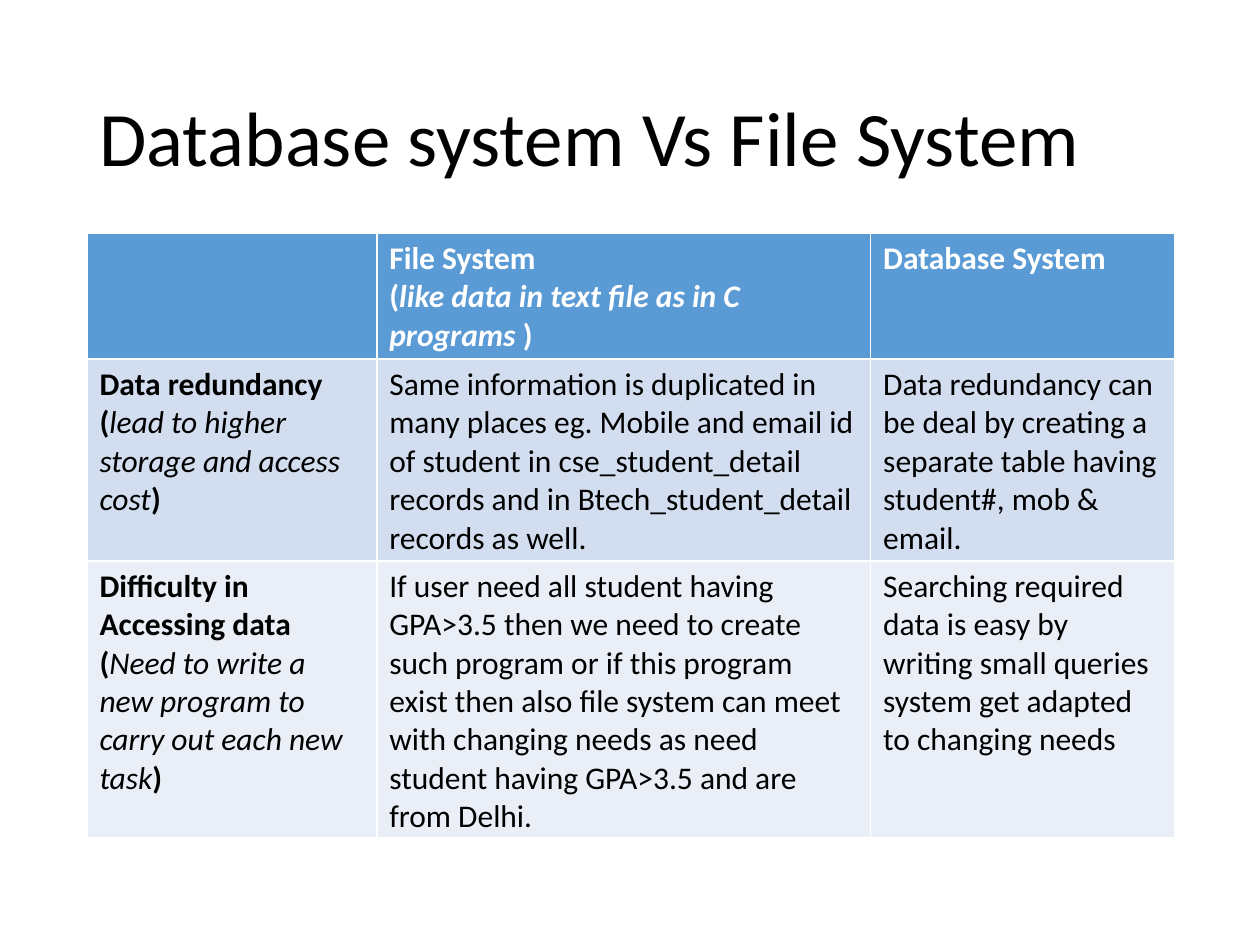
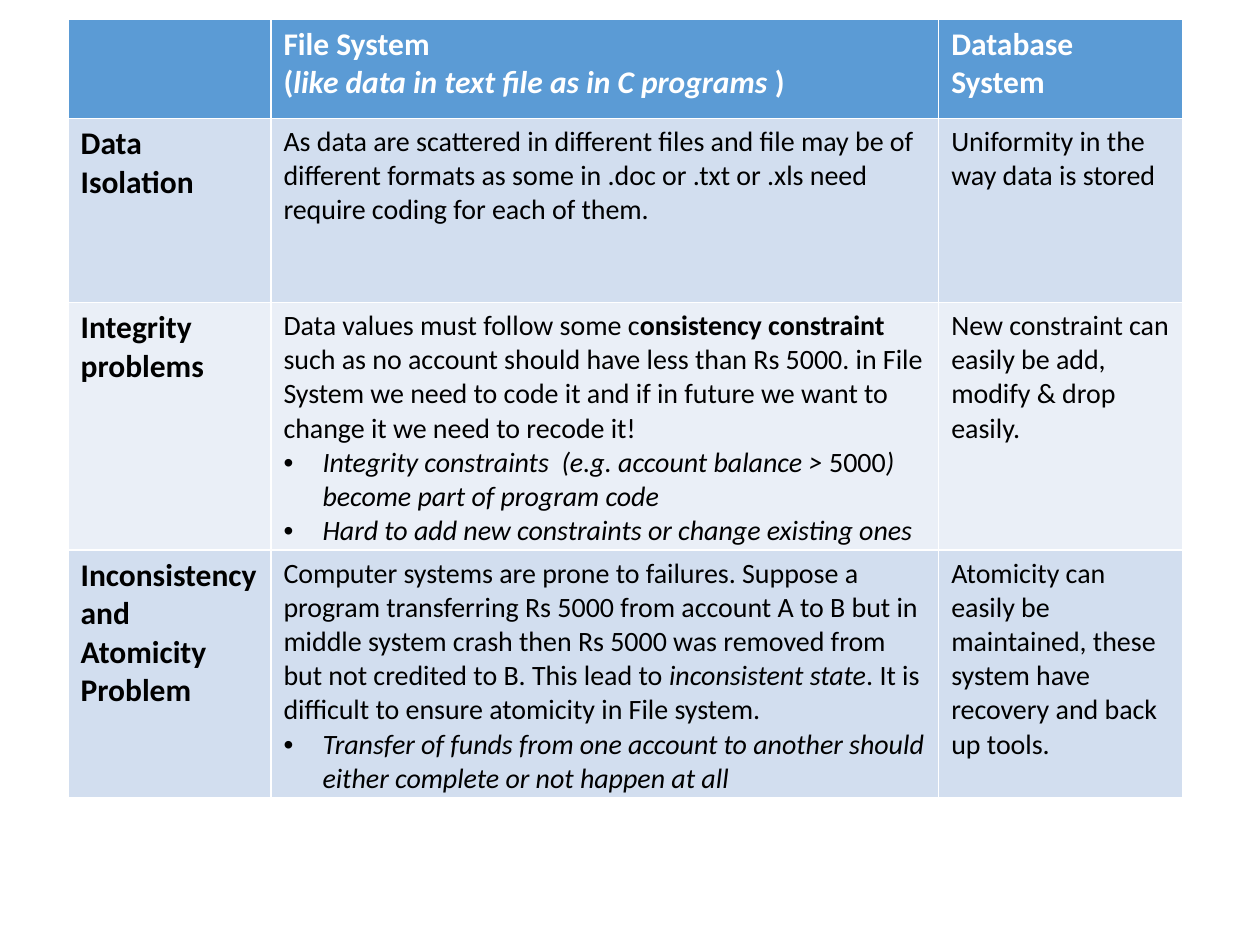
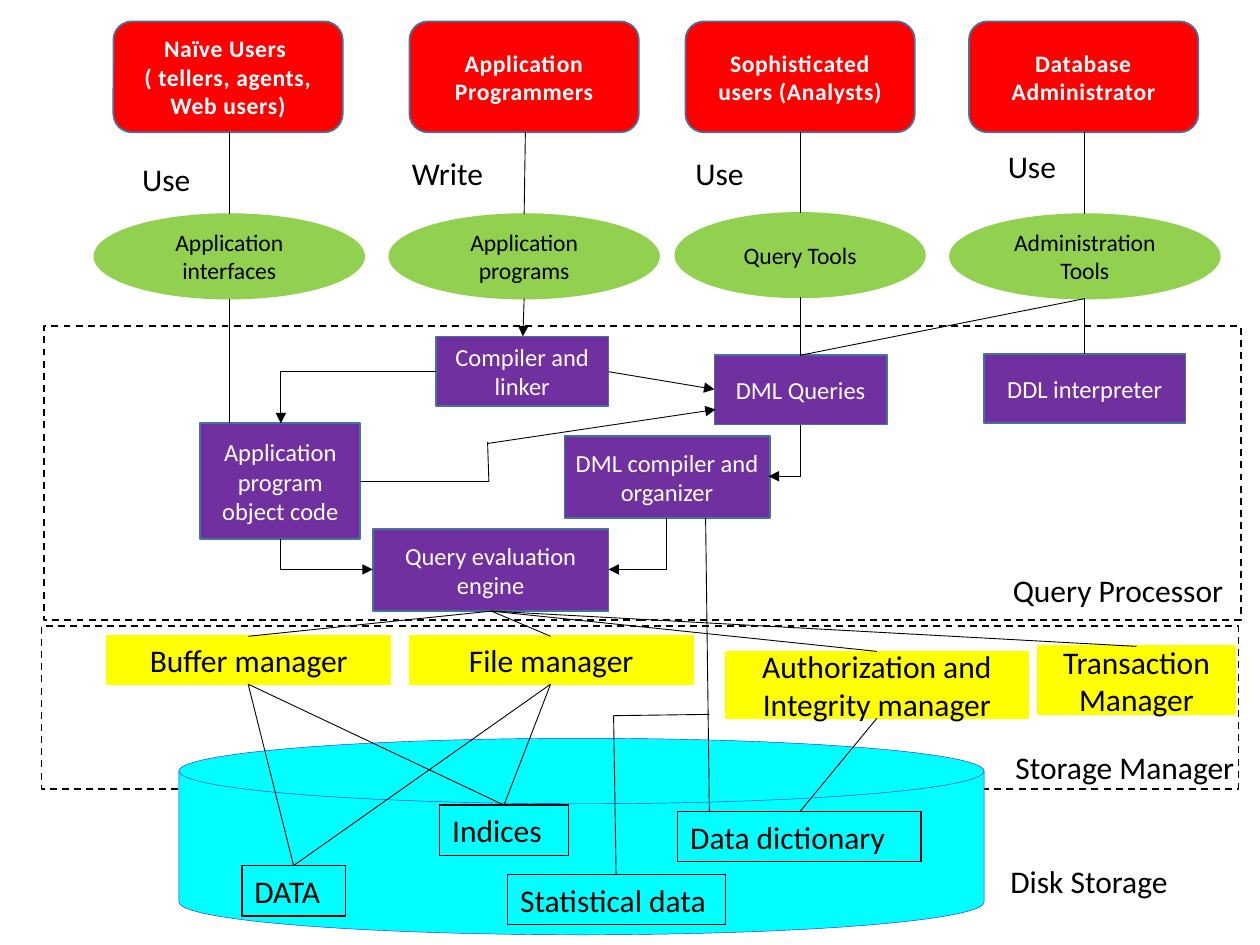
"""Build three slides on database systems, file systems and database architecture."""
import lxml.etree
import pptx
import pptx.dml.color
import pptx.enum.dml
import pptx.enum.shapes
import pptx.enum.text
import pptx.oxml.ns
import pptx.util

Inches = pptx.util.Inches
Pt = pptx.util.Pt
RGBColor = pptx.dml.color.RGBColor
SHAPE = pptx.enum.shapes.MSO_SHAPE
CONNECTOR = pptx.enum.shapes.MSO_CONNECTOR
ALIGN = pptx.enum.text.PP_ALIGN
ANCHOR = pptx.enum.text.MSO_ANCHOR
qn = pptx.oxml.ns.qn

FONT = "Calibri"
BLACK = RGBColor(0x00, 0x00, 0x00)
WHITE = RGBColor(0xFF, 0xFF, 0xFF)
HEADER_BLUE = RGBColor(0x5B, 0x9B, 0xD5)
BAND_DARK = RGBColor(0xD2, 0xDE, 0xEF)
BAND_LIGHT = RGBColor(0xEA, 0xEF, 0xF7)
RED = RGBColor(0xFF, 0x00, 0x00)
GREEN = RGBColor(0x92, 0xD0, 0x50)
PURPLE = RGBColor(0x70, 0x30, 0xA0)
YELLOW = RGBColor(0xFF, 0xFF, 0x00)
CYAN = RGBColor(0x00, 0xFF, 0xFF)
EDGE_BLUE = RGBColor(0x43, 0x73, 0x9E)
DISK_EDGE = RGBColor(0x31, 0x21, 0xFD)

HEADER = [
    [],
    [[("File System", "b")],
     [("(", "b"), ("like data in text file as in C programs ", "bi"), (")", "b")]],
    [[("Database System", "b")]],
]


def write_text(frame, paragraphs, size, color, align=None):
    """Write paragraphs of (text, style) runs, where style holds b and i."""
    frame.word_wrap = True
    for index, runs in enumerate(paragraphs):
        paragraph = frame.paragraphs[0] if index == 0 else frame.add_paragraph()
        if runs[0][0].startswith("• "):
            properties = paragraph._p.get_or_add_pPr()
            properties.set("marL", str(Inches(0.31)))
            properties.set("indent", str(Inches(-0.31)))
            bullet_font = lxml.etree.SubElement(properties, qn("a:buFont"))
            bullet_font.set("typeface", "Arial")
            lxml.etree.SubElement(properties, qn("a:buChar")).set("char", "•")
        if align is not None:
            paragraph.alignment = align
        paragraph.font.name = FONT
        paragraph.font.size = Pt(size)
        paragraph.font.color.rgb = color
        for text, style in runs:
            run = paragraph.add_run()
            run.text = text.removeprefix("• ")
            run.font.bold = "b" in style
            run.font.italic = "i" in style


def add_box(slide, preset, place, fill=None, edge=BLACK, width=1.0):
    """Add a preset shape without shadow."""
    shape = slide.shapes.add_shape(preset, *[Inches(length) for length in place])
    shape.shadow.inherit = False
    if fill is None:
        shape.fill.background()
    else:
        shape.fill.solid()
        shape.fill.fore_color.rgb = fill
    shape.line.color.rgb = edge
    shape.line.width = Pt(width)
    return shape


presentation = pptx.Presentation()
presentation.slide_width = Inches(10)
presentation.slide_height = Inches(7.5)
blank = presentation.slide_layouts[6]
comparison, continuation, architecture = [
    presentation.slides.add_slide(blank) for _ in range(3)]

title = comparison.shapes.add_textbox(Inches(0.69), Inches(0.4), Inches(8.62), Inches(1.45))
title.text_frame.vertical_anchor = ANCHOR.MIDDLE
write_text(title.text_frame, [[("Database system Vs File System", "")]], 44, BLACK)
title.text_frame.paragraphs[0].line_spacing = 0.9

comparison_rows = [
    HEADER,
    [
        [[("Data redundancy", "b")],
         [("(", "b"), ("lead to higher storage and access cost", "i"), (")", "b")]],
        [[("Same information is duplicated in many places eg. Mobile and email id of "
           "student in cse_student_detail records and in Btech_student_detail records "
           "as well.", "")]],
        [[("Data redundancy can be deal by creating a separate table having student#, "
           "mob & email.", "")]],
    ],
    [
        [[("Difficulty in Accessing data", "b")],
         [("(", "b"), ("Need to write a new program to carry out each new task", "i"),
          (")", "b")]],
        [[("If user need all student having GPA>3.5 then we need to create such program "
           "or if this program exist then also file system can meet with changing needs "
           "as need student having GPA>3.5 and are from Delhi.", "")]],
        [[("Searching required data is easy by writing small queries system get adapted "
           "to changing needs", "")]],
    ],
]
continuation_rows = [
    HEADER,
    [
        [[("Data Isolation", "b")]],
        [[("As data are scattered in different files and file may be of different "
           "formats as some in .doc or .txt or .xls need require coding for each of "
           "them.", "")]],
        [[("Uniformity in the way data is stored", "")]],
    ],
    [
        [[("Integrity problems", "b")]],
        [[("Data values must follow some c", ""), ("onsistency constraint ", "b"),
          ("such as no account should have less than Rs 5000. in File System we need to "
           "code it and if in future we want to change it we need to recode it!", "")],
         [("• Integrity constraints  (e.g. account balance > ", "i"), ("5000", ""),
          (") become part of program code", "i")],
         [("• Hard to add new constraints or change existing ones", "i")]],
        [[("New constraint can easily be add, modify & drop easily.", "")]],
    ],
    [
        [[("Inconsistency and Atomicity Problem", "b")]],
        [[("Computer systems are prone to failures. Suppose a program transferring Rs "
           "5000 from account A to B but in middle system crash then Rs 5000 was removed "
           "from but not credited to B. This lead to ", ""), ("inconsistent state", "i"),
          (". It is difficult to ensure atomicity in File system.", "")],
         [("• Transfer of funds from one account to another should either complete or "
           "not happen at all", "i")]],
        [[("Atomicity can easily be maintained, these system have recovery and back up "
           "tools.", "")]],
    ],
]

for slide, rows, place, widths, heights, body_size in [
    (comparison, comparison_rows, (0.69, 1.85, 8.62, 4.8),
     (2.3, 3.92, 2.41), (0.65, 1.12, 1.12), 18),
    (continuation, continuation_rows, (0.54, 0.15, 8.85, 6.19),
     (1.61, 5.3, 1.94), (0.79, 1.46, 1.46, 1.46), 16),
]:
    frame = slide.shapes.add_table(len(rows), 3, *[Inches(length) for length in place])
    table = frame.table
    for column, width in zip(table.columns, widths):
        column.width = Inches(width)
    for row, height in zip(table.rows, heights):
        row.height = Inches(height)
    frame.height = Inches(place[3])
    for row_index, row in enumerate(rows):
        for column_index, paragraphs in enumerate(row):
            cell = table.cell(row_index, column_index)
            cell.fill.solid()
            if row_index == 0:
                cell.fill.fore_color.rgb = HEADER_BLUE
            else:
                cell.fill.fore_color.rgb = BAND_DARK if row_index % 2 else BAND_LIGHT
            size = 18 if row_index == 0 or column_index == 0 else body_size
            write_text(cell.text_frame, paragraphs, size, BLACK if row_index else WHITE)

for region in [(0.35, 2.59, 9.5, 2.33), (0.33, 4.97, 9.5, 1.29)]:
    outline = add_box(architecture, SHAPE.RECTANGLE, region)
    outline.line.dash_style = pptx.enum.dml.MSO_LINE.DASH

users = [
    ((0.9, 0.17, 1.82, 0.88), "Naïve Users \n( tellers, agents, Web users)"),
    ((3.25, 0.17, 1.82, 0.88), "Application Programmers"),
    ((5.44, 0.17, 1.82, 0.88), "Sophisticated users (Analysts)"),
    ((7.69, 0.17, 1.82, 0.88), "Database Administrator"),
]
tools = [
    ((0.75, 1.7, 2.14, 0.67), "Application interfaces"),
    ((3.09, 1.7, 2.14, 0.67), "Application programs"),
    ((5.36, 1.69, 1.98, 0.67), "Query Tools"),
    ((7.54, 1.7, 2.14, 0.67), "Administration Tools"),
]
processors = [
    ((1.59, 3.36, 1.27, 0.92), "Application program object code"),
    ((3.46, 2.67, 1.37, 0.55), "Compiler and linker"),
    ((5.67, 2.82, 1.37, 0.55), "DML Queries"),
    ((7.81, 2.81, 1.6, 0.55), "DDL interpreter"),
    ((4.48, 3.46, 1.63, 0.65), "DML compiler and organizer"),
    ((2.96, 4.2, 1.87, 0.65), "Query evaluation engine"),
]
managers = [
    ((0.85, 5.05, 2.25, 0.38), "Buffer manager"),
    ((3.25, 5.05, 2.25, 0.38), "File manager"),
    ((5.76, 5.17, 2.4, 0.53), "Authorization and Integrity manager"),
    ((8.24, 5.13, 1.56, 0.54), "Transaction Manager"),
]
for boxes, preset, fill, edge, color, size, style, insets in [
    (users, SHAPE.ROUNDED_RECTANGLE, RED, EDGE_BLUE, WHITE, 13.5, "b", (0.07, 0.04)),
    (tools, SHAPE.OVAL, GREEN, GREEN, BLACK, 13.5, "", (0.07, 0.04)),
    (processors, SHAPE.RECTANGLE, PURPLE, EDGE_BLUE, WHITE, 14, "", (0.07, 0.04)),
    (managers, SHAPE.RECTANGLE, YELLOW, YELLOW, BLACK, 18, "", (0.1, 0.05)),
]:
    for place, text in boxes:
        shape = add_box(architecture, preset, place, fill, edge)
        frame = shape.text_frame
        frame.vertical_anchor = ANCHOR.MIDDLE
        frame.margin_left = frame.margin_right = Inches(insets[0])
        frame.margin_top = frame.margin_bottom = Inches(insets[1])
        lines = [[(line, style)] for line in text.split("\n")]
        write_text(frame, lines, size, color, ALIGN.CENTER)
        if boxes is users:
            for paragraph in frame.paragraphs:
                for run in paragraph.runs:
                    run._r.get_or_add_rPr().set("spc", "40")

add_box(architecture, SHAPE.FLOWCHART_MAGNETIC_DISK, (1.42, 5.86, 6.39, 1.56),
        CYAN, DISK_EDGE, 0.25)

for left, top, width, text in [
    (1.92, 6.87, 0.82, "DATA"),
    (3.49, 6.39, 1.02, "Indices"),
    (5.38, 6.44, 1.93, "Data dictionary"),
    (4.03, 6.94, 1.73, "Statistical data"),
]:
    store = add_box(architecture, SHAPE.RECTANGLE, (left, top, width, 0.4), width=0.75)
    store.text_frame.vertical_anchor = ANCHOR.TOP
    write_text(store.text_frame, [[(text, "")]], 18, BLACK, ALIGN.LEFT)

for left, top, width, text in [
    (1.03, 1.22, 0.79, "Use"),
    (3.17, 1.17, 0.79, "Write"),
    (5.42, 1.17, 0.79, "Use"),
    (7.9, 1.12, 0.79, "Use"),
    (7.94, 4.48, 2, "Query Processor"),
    (7.96, 5.89, 1.98, "Storage Manager"),
    (7.92, 6.79, 2, "Disk Storage"),
]:
    label = architecture.shapes.add_textbox(
        Inches(left), Inches(top), Inches(width), Inches(0.4))
    write_text(label.text_frame, [[(text, "")]], 18, BLACK)

plain_lines = [
    (1.82, 1.05, 1.82, 1.7), (4.17, 1.05, 4.16, 1.7),
    (6.35, 1.05, 6.35, 1.69), (8.61, 1.05, 8.61, 1.7),
    (1.82, 2.37, 1.82, 3.36), (6.35, 2.36, 6.35, 2.82),
    (8.61, 2.37, 6.35, 2.82), (8.61, 2.37, 8.61, 2.81),
    (5.6, 4.11, 5.63, 6.44), (2.86, 3.82, 3.88, 3.82), (3.88, 3.82, 3.87, 3.51),
    (3.9, 4.85, 1.97, 5.05), (4.37, 5.05, 3.9, 4.85),
    (9.02, 5.13, 3.9, 4.85), (6.96, 5.17, 3.9, 4.85),
    (1.97, 5.43, 2.33, 6.87), (4.37, 5.43, 2.33, 6.87),
    (1.97, 5.43, 4, 6.39), (4.37, 5.43, 4, 6.39),
    (6.96, 5.7, 6.35, 6.44), (5.63, 5.67, 4.87, 5.68), (4.87, 5.68, 4.89, 6.94),
]
arrows = [(4.16, 2.37, 4.15, 2.67), (4.83, 2.95, 5.67, 3.09), (3.87, 3.52, 5.68, 3.25)]
elbows_to_end = [(3.46, 2.95, 2.23, 3.36)]
elbows_to_start = [
    (6.1, 3.78, 6.35, 3.37), (4.83, 4.52, 5.29, 4.11), (2.96, 4.52, 2.23, 4.28)]
for routes, kind, arrowhead in [
    (plain_lines, CONNECTOR.STRAIGHT, None),
    (arrows, CONNECTOR.STRAIGHT, "a:tailEnd"),
    (elbows_to_end, CONNECTOR.ELBOW, "a:tailEnd"),
    (elbows_to_start, CONNECTOR.ELBOW, "a:headEnd"),
]:
    for route in routes:
        connector = architecture.shapes.add_connector(
            kind, *[Inches(length) for length in route])
        connector.line.color.rgb = BLACK
        connector.line.width = Pt(0.5)
        properties = connector._element.spPr
        if kind == CONNECTOR.ELBOW:
            properties.find(qn("a:prstGeom")).set("prst", "bentConnector2")
        if arrowhead:
            line = properties.find(qn("a:ln"))
            lxml.etree.SubElement(line, qn(arrowhead)).set("type", "triangle")
        lxml.etree.SubElement(properties, qn("a:effectLst"))

presentation.save("out.pptx")
